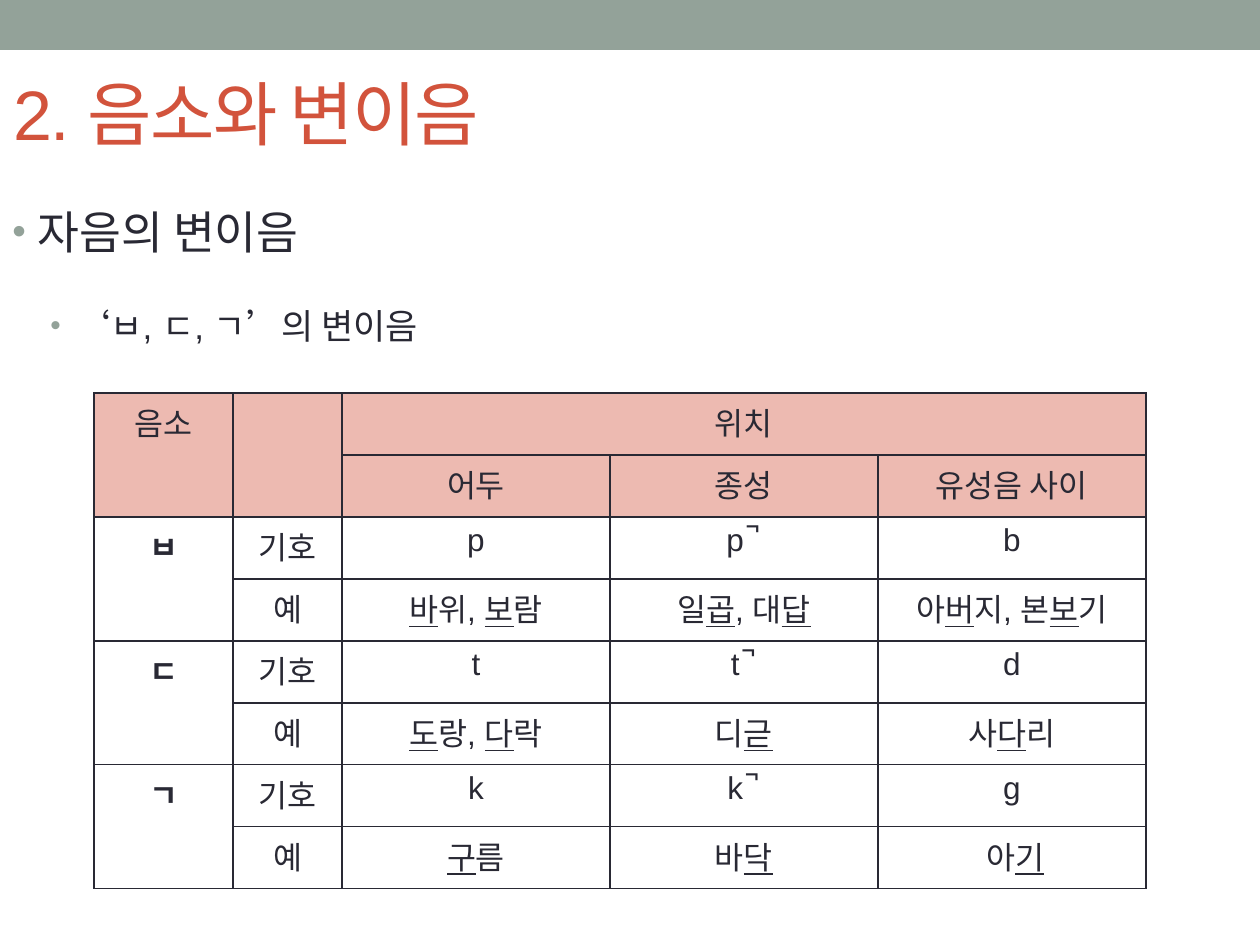
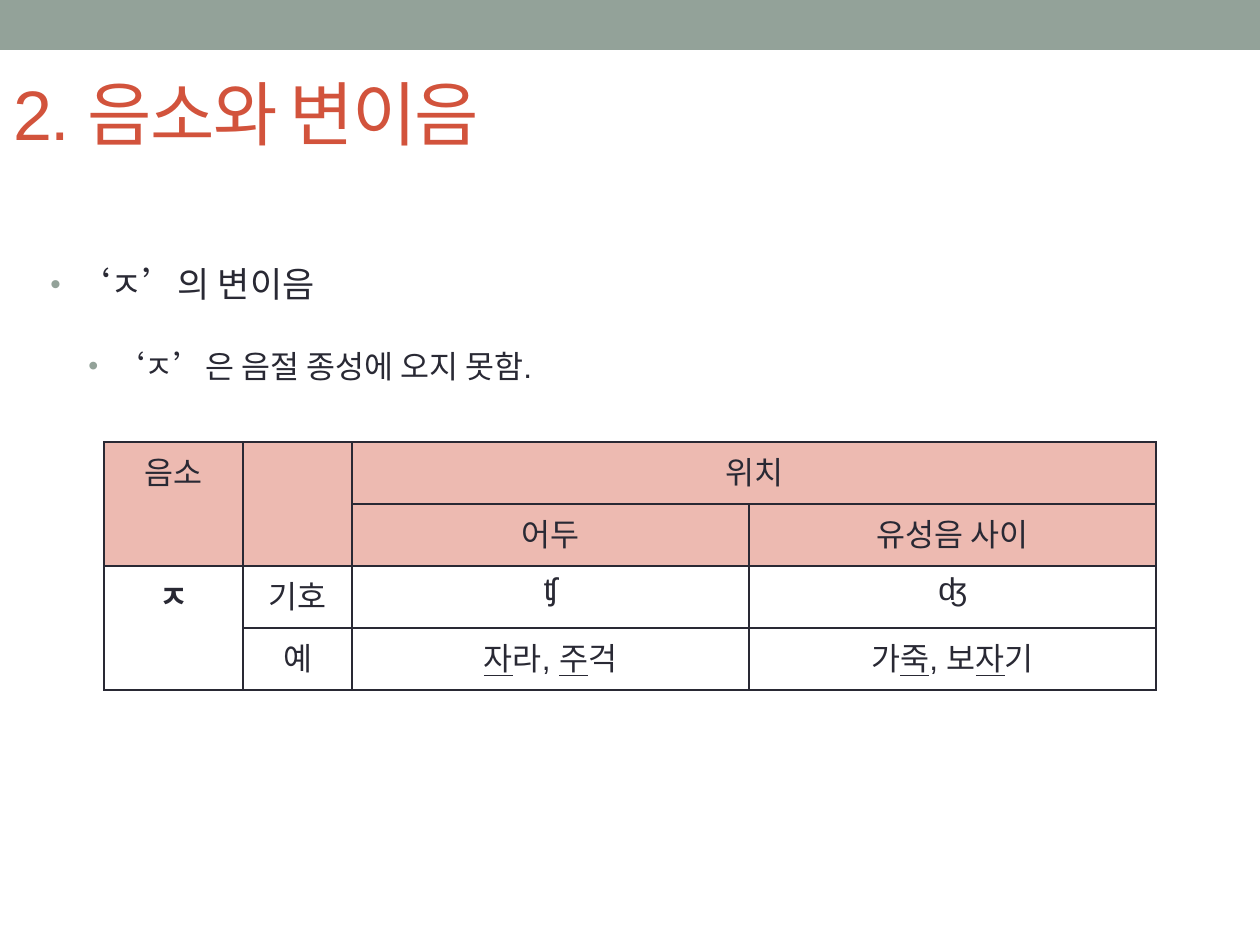
from lxml import etree
from pptx import Presentation
from pptx.dml.color import RGBColor
from pptx.enum.shapes import MSO_SHAPE
from pptx.enum.text import MSO_ANCHOR, MSO_AUTO_SIZE, PP_ALIGN
from pptx.oxml.ns import qn
from pptx.util import Pt

RECT = MSO_SHAPE.RECTANGLE
MIDDLE = MSO_ANCHOR.MIDDLE
LEFT, CENTER = PP_ALIGN.LEFT, PP_ALIGN.CENTER
FIT = MSO_AUTO_SIZE.NONE

HUE = {"band": "93A299", "title": "D2533C", "ink": "292934",
       "head": "EDBAB1", "page": "FFFFFF"}
FONT = "Arial"
WIDE, HIGH = 1260, 945
STEP = 62
BODY = (0, 204, 1260, 725)


def px(n):
    return round(n * 914400 / 126)


def rgb(key):
    return RGBColor.from_string(HUE[key])


def sub(node, tag, **attrs):
    return etree.SubElement(node, qn(tag), attrs)


def style(run, size, key="ink", bold=False, under=False):
    font = run.font
    font.name, font.size, font.bold = FONT, Pt(size), bold
    font.color.rgb = rgb(key)
    if under:
        font.underline = True


def add_page(deck, text):
    slide = deck.slides.add_slide(deck.slide_layouts[5])
    band = slide.shapes.add_shape(RECT, 0, 0, px(WIDE), px(50))
    band.shadow.inherit = False
    band.fill.solid()
    band.fill.fore_color.rgb = rgb("band")
    band.line.fill.background()
    title = slide.shapes.title
    title.left, title.top, title.width, title.height = map(px, (1, 45, 1134, 136))
    frame = title.text_frame
    frame.text = text
    frame.word_wrap = True
    frame.auto_size = FIT
    frame.vertical_anchor = MIDDLE
    para = frame.paragraphs[0]
    para.alignment = LEFT
    for run in para.runs:
        style(run, 40, "title")
        run.font._element.set("spc", "-100")
    return slide


def add_list(slide, box, inset, items):
    frame = slide.shapes.add_textbox(*map(px, box)).text_frame
    frame.word_wrap = True
    frame.margin_top = px(inset)
    frame.text = "\n".join(text for text, *_ in items)
    for para, (_, level, size, gap, scale) in zip(frame.paragraphs, items):
        para.level = level
        para.space_before = Pt(gap)
        props = para._p.get_or_add_pPr()
        props.set("marL", str(px(25 + 38 * level)))
        props.set("indent", str(px(-25)))
        sub(sub(props, "a:buClr"), "a:srgbClr", val=HUE["band"])
        sub(props, "a:buSzPct", val=str(scale * 1000))
        sub(props, "a:buFont", typeface=FONT)
        sub(props, "a:buChar", char="•")
        for run in para.runs:
            style(run, size)


def fill_cell(cell, text, key, bold):
    props = cell._tc.get_or_add_tcPr()
    for tag in ("a:lnL", "a:lnR", "a:lnT", "a:lnB"):
        line = sub(props, tag, w=str(Pt(1)))
        sub(sub(line, "a:solidFill"), "a:srgbClr", val=HUE["ink"])
    cell.fill.solid()
    cell.fill.fore_color.rgb = rgb(key)
    para = cell.text_frame.paragraphs[0]
    para.alignment = CENTER
    for i, part in enumerate(text.split("_")):
        if part:
            run = para.add_run()
            run.text = part
            style(run, 18, bold=bold, under=i % 2 == 1)


def add_grid(slide, left, top, cols, spots, sounds):
    blank = [""] * (len(spots) - 1)
    rows = [["음소", "", "위치", *blank], ["", "", *spots]]
    for sound, signs, words in sounds:
        rows += [[sound, "기호", *signs], ["", "예", *words]]
    box = (left, top, sum(cols), STEP * len(rows))
    table = slide.shapes.add_table(len(rows), len(cols), *map(px, box)).table
    table.first_row = table.horz_banding = False
    for col, width in zip(table.columns, cols):
        col.width = px(width)
    for r, row in enumerate(rows):
        table.rows[r].height = px(STEP)
        for c, text in enumerate(row):
            fill_cell(table.cell(r, c), text, "head" if r < 2 else "page",
                      r > 1 and c == 0)
    for r in range(0, len(rows), 2):
        table.cell(r, 0).merge(table.cell(r + 1, 0))
    table.cell(0, 1).merge(table.cell(1, 1))
    table.cell(0, 2).merge(table.cell(0, len(cols) - 1))


def main():
    deck = Presentation()
    deck.slide_width, deck.slide_height = px(WIDE), px(HIGH)
    head = "2. 음소와 변이음"

    stops = add_page(deck, head)
    add_list(stops, BODY, 0, [("자음의 변이음", 0, 26, 0, 85),
                              ("‘ㅂ, ㄷ, ㄱ’의 변이음", 1, 20, 26, 85)])
    add_grid(stops, 94, 393, (139, 109, 268, 268, 268),
             ("어두", "종성", "유성음 사이"),
             [("ㅂ", ("p", "p ̚ ", "b"),
               ("_바_위, _보_람", "일_곱_, 대_답_", "아_버_지, 본_보_기")),
              ("ㄷ", ("t", "t ̚ ", "d"),
               ("_도_랑, _다_락", "디_귿_", "사_다_리")),
              ("ㄱ", ("k", "k ̚ ", "g"),
               ("_구_름", "바_닥_", " 아_기_"))])

    glides = add_page(deck, head)
    add_list(glides, BODY, 59, [("‘ㅈ’의 변이음", 1, 20, 0, 85),
                                ("‘ㅈ’은 음절 종성에 오지 못함.", 2, 18, 24, 90)])
    add_grid(glides, 104, 442, (139, 109, 397, 407),
             ("어두", "유성음 사이"),
             [("ㅈ", ("ʧ", "ʤ"), ("_자_라, _주_걱", "가_죽_, 보_자_기"))])

    deck.save("out.pptx")


if __name__ == "__main__":
    main()
